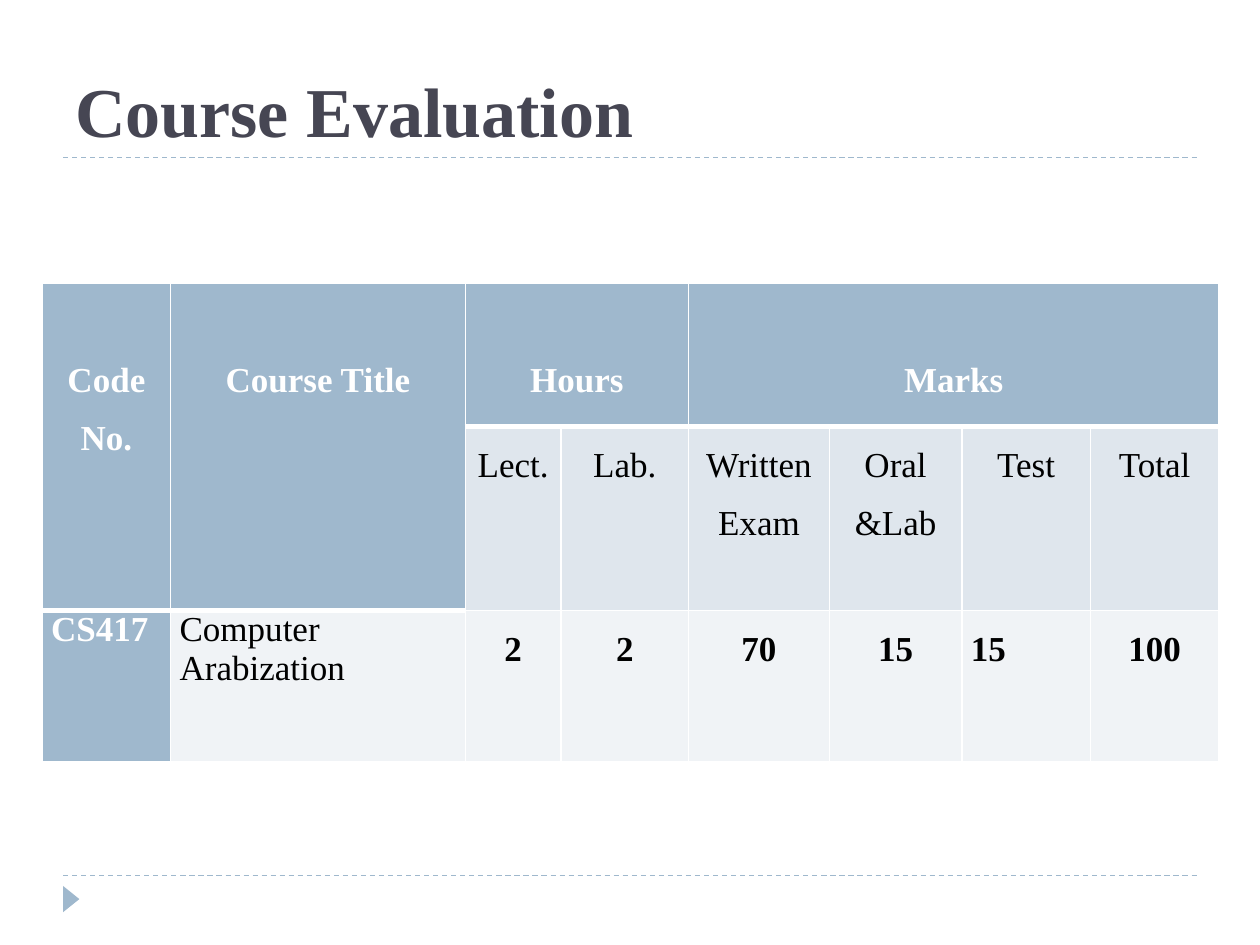
from dataclasses import dataclass

from lxml.etree import SubElement
from pptx import Presentation
from pptx.dml.color import RGBColor
from pptx.enum.dml import MSO_LINE
from pptx.enum.shapes import MSO_CONNECTOR, MSO_SHAPE
from pptx.enum.text import MSO_ANCHOR, PP_ALIGN
from pptx.oxml.ns import qn
from pptx.util import Cm, Pt


@dataclass(frozen=True)
class Theme:
    font: str = "Times New Roman"
    accent: str = "9FB8CD"
    title: str = "464653"
    white: str = "FFFFFF"
    black: str = "000000"
    band: str = "DFE6ED"
    pale: str = "F0F3F6"
    big: int = 40
    body: int = 20


class Deck:
    def __init__(self, theme):
        self.theme = theme
        self.prs = Presentation()
        self.prs.slide_width, self.prs.slide_height = Cm(25.4), Cm(19.05)
        self.slide = self.prs.slides.add_slide(self.prs.slide_layouts[6])
        self.shapes = self.slide.shapes

    def label(self, frame, text, size, color, bold, align=PP_ALIGN.LEFT, space=1):
        frame.text = text
        frame.word_wrap = True
        para = frame.paragraphs[0]
        para.alignment, para.line_spacing = align, space
        font = para.runs[0].font
        font.name, font.size, font.bold = self.theme.font, Pt(size), bold
        font.color.rgb = RGBColor.from_string(color)

    def title(self, text, *box):
        frame = self.shapes.add_textbox(*map(Cm, box)).text_frame
        self.label(frame, text, self.theme.big, self.theme.title, True)
        frame.vertical_anchor = MSO_ANCHOR.BOTTOM

    def rule(self, left, right, y):
        line = self.shapes.add_connector(
            MSO_CONNECTOR.STRAIGHT, Cm(left), Cm(y), Cm(right), Cm(y))
        line.line.color.rgb = RGBColor.from_string(self.theme.accent)
        line.line.width = Pt(0.75)
        line.line.dash_style = MSO_LINE.DASH
        SubElement(line._element.spPr, qn("a:effectLst"))

    def marker(self, *box):
        shape = self.shapes.add_shape(MSO_SHAPE.ISOSCELES_TRIANGLE, *map(Cm, box))
        shape.rotation = 90
        shape.shadow.inherit = False
        shape.fill.solid()
        shape.fill.fore_color.rgb = RGBColor.from_string(self.theme.accent)
        shape.line.fill.background()

    def grid(self, left, top, cols, rows):
        frame = self.shapes.add_table(
            len(rows), len(cols), Cm(left), Cm(top), Cm(sum(cols)), Cm(sum(rows)))
        table = frame.table
        table.first_row = table.horz_banding = False
        for col, width in zip(table.columns, cols):
            col.width = Cm(width)
        for row, height in zip(table.rows, rows):
            row.height = Cm(height)
        return table

    def paint(self, cell, fill, top=1, bottom=1):
        """Set the fill, the margins and the white borders of a cell."""
        cell.margin_left = cell.margin_right = Cm(0.18)
        cell.margin_top = cell.margin_bottom = 0
        props = cell._tc.get_or_add_tcPr()
        for side, width in zip("LRTB", (1, 1, top, bottom)):
            edge = SubElement(props, qn(f"a:ln{side}"), w=str(Pt(width)))
            solid = SubElement(edge, qn("a:solidFill"))
            SubElement(solid, qn("a:srgbClr"), val=self.theme.white)
        cell.fill.solid()
        cell.fill.fore_color.rgb = RGBColor.from_string(fill)


def main():
    theme = Theme()
    deck = Deck(theme)
    deck.rule(1.27, 24.13, 17.65)
    deck.rule(1.27, 24.13, 3.18)
    deck.marker(1.17, 17.96, 0.53, 0.33)
    deck.title("Course Evaluation", 1.27, 0.43, 22.86, 2.74)

    cols = [2.59, 5.94, 1.93, 2.57, 2.84, 2.67, 2.59, 2.59]
    table = deck.grid(0.85, 5.72, cols, [2.88, 3.53, 3.05])
    heads = {0: "Code No.", 1: "Course Title", 2: "Hours", 4: "Marks"}
    parts = ["Lect.", "Lab.", "Written Exam", "Oral &Lab", "Test", "Total"]
    marks = ["CS417", "Computer Arabization", "2", "2", "70", "15", "15", "100"]

    # The thick line runs below the headings: two rows deep in the first two columns
    for col in range(len(cols)):
        deep = col < 2
        deck.paint(table.cell(0, col), theme.accent, bottom=3)
        deck.paint(table.cell(1, col), theme.accent if deep else theme.band,
                   top=1 if deep else 3, bottom=3 if deep else 1)
        deck.paint(table.cell(2, col), theme.pale if col else theme.accent,
                   top=3 if deep else 1)
    for first, last in (((0, 0), (1, 0)), ((0, 1), (1, 1)),
                        ((0, 2), (0, 3)), ((0, 4), (0, 7))):
        table.cell(*first).merge(table.cell(*last))

    for col, text in heads.items():
        cell = table.cell(0, col)
        cell.margin_top = Pt(33)
        deck.label(cell.text_frame, text, theme.body, theme.white, True,
                   PP_ALIGN.CENTER, 1.5)
    for col, text in enumerate(parts, 2):
        deck.label(table.cell(1, col).text_frame, text, theme.body, theme.black,
                   False, PP_ALIGN.CENTER, 1.5)
    for col, text in enumerate(marks):
        align = PP_ALIGN.LEFT if col in (0, 1, 6) else PP_ALIGN.CENTER
        deck.label(table.cell(2, col).text_frame, text, theme.body,
                   theme.black if col else theme.white, col != 1, align,
                   1 if col < 2 else 1.5)

    deck.prs.save("out.pptx")


if __name__ == "__main__":
    main()
